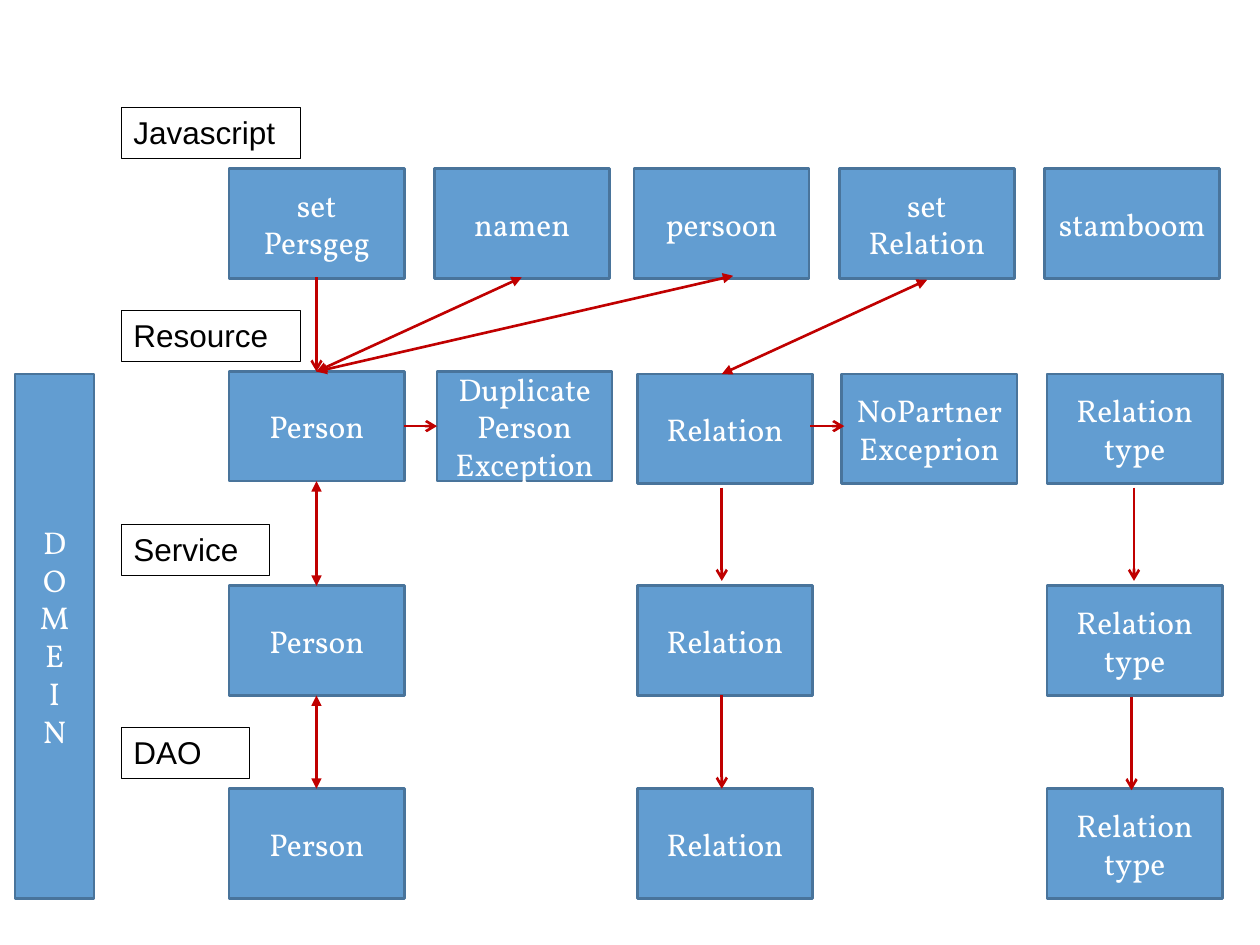
"""Build a one-slide diagram of application layers and their links."""
import pptx
import pptx.util
import pptx.dml.color
import pptx.enum.shapes
import pptx.enum.text
import pptx.oxml

Cm, Pt = pptx.util.Cm, pptx.util.Pt
ALIGN = pptx.enum.text.PP_ALIGN
WIDE, HIGH = 3.53, 2.21


def paint(part, shade):
    """Give a fill or line a solid colour."""
    part.solid()
    part.fore_color.rgb = pptx.dml.color.RGBColor.from_string(shade)


def write(shape, text, font, shade, align):
    """Write paragraphs split by newline, with line breaks at vertical tabs."""
    frame = shape.text_frame
    frame.word_wrap = True
    for i, line in enumerate(text.split("\n")):
        para = frame.paragraphs[0] if i == 0 else frame.add_paragraph()
        para.alignment = align
        for j, part in enumerate(line.split("\v")):
            if j:
                para.add_line_break()
            run = para.add_run()
            run.text = part
            run.font.name, run.font.size = font, Pt(18)
            paint(run.font.fill, shade)


def block(slide, x, y, wide, high, text):
    """Draw a blue block with centred white text."""
    kind = pptx.enum.shapes.MSO_SHAPE.RECTANGLE
    shape = slide.shapes.add_shape(kind, Cm(x), Cm(y), Cm(wide), Cm(high))
    shape.shadow.inherit = False
    paint(shape.fill, "629DD1")
    paint(shape.line.fill, "49749B")
    shape.line.width = Pt(1.5)
    shape.text_frame.vertical_anchor = pptx.enum.text.MSO_ANCHOR.MIDDLE
    write(shape, text, "Vollkorn", "FFFFFF", ALIGN.CENTER)


def label(slide, x, y, wide, text):
    """Draw an outlined layer name."""
    shape = slide.shapes.add_textbox(Cm(x), Cm(y), Cm(wide), Cm(1.03))
    paint(shape.line.fill, "000000")
    shape.line.width = Pt(0.5)
    write(shape, text, "Arial", "000000", ALIGN.LEFT)
    shape.text_frame.auto_size = pptx.enum.text.MSO_AUTO_SIZE.SHAPE_TO_FIT_TEXT


def arrow(slide, x, y, ends, both):
    """Draw a red arrow, with a head at both ends or only at the last."""
    a, b, c, d = ends
    kind = pptx.enum.shapes.MSO_CONNECTOR.STRAIGHT
    line = slide.shapes.add_connector(kind, Cm(x + a), Cm(y + b), Cm(x + c), Cm(y + d))
    paint(line.line.fill, "C00000")
    line.line.width = Pt(1.5)
    space = 'xmlns:a="http://schemas.openxmlformats.org/drawingml/2006/main"'
    heads = {"headEnd": "triangle", "tailEnd": "triangle"} if both else {"tailEnd": "arrow"}
    for name, form in heads.items():
        line.line._get_or_add_ln().append(pptx.oxml.parse_xml(f'<a:{name} {space} type="{form}"/>'))
    line._element.spPr.append(pptx.oxml.parse_xml(f"<a:effectLst {space}/>"))


def layer(slide, x, y, name, wide, cells):
    """Draw a layer: its name and its row of blocks."""
    for left, drop, text in cells:
        block(slide, x + left, y + 1.24 + drop, WIDE, HIGH, text)
    label(slide, x, y, wide, name)


def links(slide, x, y, one, two):
    """Draw the one-way and two-way arrows that leave a layer."""
    for both, group in ((False, one), (True, two)):
        for ends in group:
            arrow(slide, x, y, ends, both)


LEFT = 2.44
ONE, TWO, THREE, FOUR, FIVE = 2.18, 6.37, 10.41, 14.53, 18.67
TRIO = [(ONE, 0, "Person"), (THREE, 0, "Relation"), (FIVE, 0, "Relation type")]
LAYERS = [
    (2.16, "Javascript", 3.61,
     [(ONE, 0, "set\nPersgeg"), (6.32, 0, "namen"), (10.34, 0, "persoon"),
      (14.48, 0, "set\nRelation"), (18.62, 0, "stamboom")],
     [(3.94, 3.43, 3.94, 5.33)],
     [(8.08, 3.43, 3.94, 5.33), (12.34, 3.4, 3.94, 5.33), (16.25, 3.48, 12.11, 5.38)]),
    (6.25, "Resource", 3.61,
     [(ONE, 0, "Person"), (TWO, 0, "Duplicate\vPerson\nException"),
      (THREE, 0.05, "Relation"), (FOUR, 0.05, "NoPartner\vExceprion"),
      (FIVE, 0.05, "Relation type")],
     [(5.71, 2.34, 6.37, 2.34), (13.89, 2.34, 14.58, 2.34),
      (12.11, 3.58, 12.11, 5.46), (20.42, 3.58, 20.42, 5.46)],
     [(3.94, 3.45, 3.94, 5.56)]),
    (10.57, "Service", 3, TRIO,
     [(12.11, 3.45, 12.11, 5.33), (20.37, 3.48, 20.37, 5.36)],
     [(3.94, 3.45, 3.94, 5.33)]),
    (14.66, "DAO", 2.59, TRIO, [], []),
]

deck = pptx.Presentation()
deck.slide_width, deck.slide_height = Cm(25.4), Cm(19.05)
page = deck.slides.add_slide(deck.slide_layouts[6])
block(page, 0.3, 7.54, 1.6, 10.57, "\n".join("DOMEIN"))
for top, name, wide, cells, one, two in LAYERS:
    layer(page, LEFT, top, name, wide, cells)
for top, name, wide, cells, one, two in LAYERS:
    links(page, LEFT, top, one, two)
deck.save("out.pptx")
